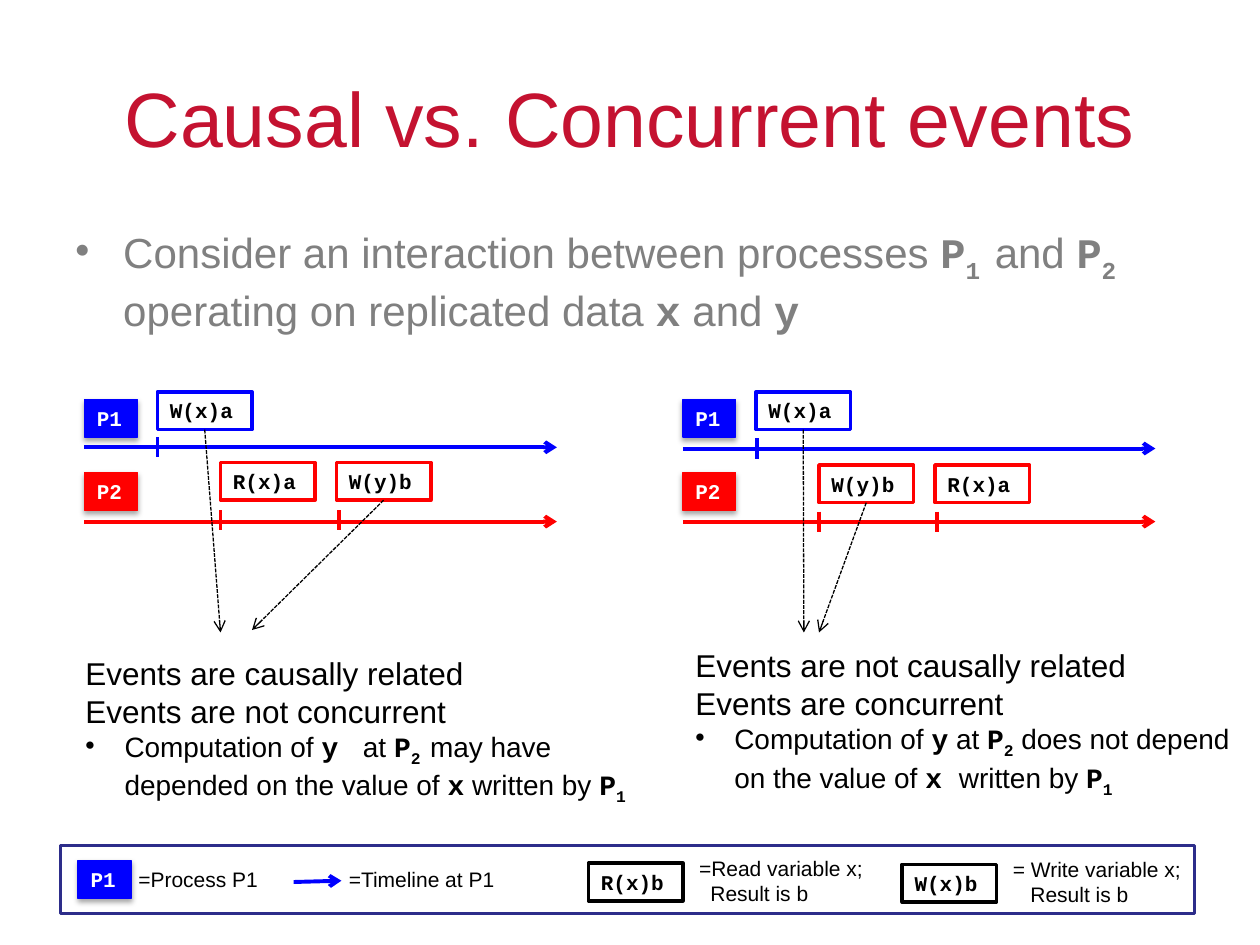
from dataclasses import dataclass

from lxml import etree
from pptx import Presentation
from pptx.dml.color import RGBColor
from pptx.enum.dml import MSO_LINE
from pptx.enum.shapes import MSO_CONNECTOR, MSO_SHAPE
from pptx.enum.text import MSO_ANCHOR, PP_ALIGN
from pptx.oxml.ns import qn
from pptx.util import Inches, Pt

RECT = MSO_SHAPE.RECTANGLE
STRAIGHT = MSO_CONNECTOR.STRAIGHT
DASH = MSO_LINE.SQUARE_DOT
MIDDLE, TOP = MSO_ANCHOR.MIDDLE, MSO_ANCHOR.TOP
LEFT, CENTER = PP_ALIGN.LEFT, PP_ALIGN.CENTER
BOTTOM_SITE = 2

SANS, MONO = "Arial", "Courier New"
BLUE, RED, BLACK, WHITE = "0000FF", "FF0000", "000000", "FFFFFF"
TITLE_RED, GRAY, NAVY = "C41230", "808080", "2D2D8A"

# Run styles
PLAIN, CODE, SUB = "plain", "code", "sub"


@dataclass
class Para:
    runs: list
    size: float
    color: str = BLACK
    indent: float = 0
    bullet: bool = False
    align: PP_ALIGN = LEFT


@dataclass
class Event:
    label: str
    color: str
    x: float
    y: float
    tick_x: float
    tick_y: float
    target: tuple = None  # where its dashed arrow ends


@dataclass
class Panel:
    left: float
    p1_y: float
    events: list


def rgb(color: str) -> RGBColor:
    return RGBColor.from_string(color)


def add_text(shapes, x: float, y: float, w: float, h: float, paras: list, anchor=TOP):
    tf = shapes.add_textbox(Inches(x), Inches(y), Inches(w), Inches(h)).text_frame
    tf.word_wrap = True
    tf.vertical_anchor = anchor
    for i, para in enumerate(paras):
        p = tf.add_paragraph() if i else tf.paragraphs[0]
        p.alignment = para.align
        pPr = p._p.get_or_add_pPr()
        if para.indent:
            pPr.set("marL", str(Inches(para.indent)))
        if para.bullet:
            pPr.set("indent", str(-Inches(para.indent)))
            etree.SubElement(pPr, qn("a:buChar"), char="•")
        for text, style in para.runs:
            r = p.add_run()
            r.text = text
            r.font.size = Pt(para.size)
            r.font.color.rgb = rgb(para.color)
            r.font.name = SANS if style == PLAIN else MONO
            r.font.bold = style != PLAIN
            if style == SUB:
                r._r.get_or_add_rPr().set("baseline", "-25000")


def add_box(shapes, x: float, y: float, w: float, h: float, fill: str, line: str,
            width: float, label: str = "", color: str = BLACK):
    sp = shapes.add_shape(RECT, Inches(x), Inches(y), Inches(w), Inches(h))
    sp.shadow.inherit = False
    sp.fill.solid()
    sp.fill.fore_color.rgb = rgb(fill)
    sp.line.color.rgb = rgb(line)
    sp.line.width = Pt(width)
    if label:
        tf = sp.text_frame
        tf.text = label
        tf.word_wrap = False
        tf.vertical_anchor = TOP
        p = tf.paragraphs[0]
        p.alignment = LEFT
        font = p.runs[0].font
        font.name, font.size, font.bold = MONO, Pt(12), True
        font.color.rgb = rgb(color)
    return sp


def add_process(shapes, x: float, y: float, label: str, color: str):
    sp = add_box(shapes, x, y, 0.42, 0.3, color, color, 0.75, label, WHITE)
    effects = sp._element.spPr.find(qn("a:effectLst"))
    shadow = etree.SubElement(effects, qn("a:outerShdw"), blurRad=str(Pt(3.1)),
                              dist=str(Pt(1.8)), dir="5400000", rotWithShape="0")
    clr = etree.SubElement(shadow, qn("a:srgbClr"), val=BLACK)
    etree.SubElement(clr, qn("a:alpha"), val="35000")


def add_operation(shapes, x: float, y: float, label: str, color: str):
    return add_box(shapes, x, y, 0.75, 0.3, WHITE, color, 2, label)


def add_line(shapes, start: tuple, end: tuple, color: str, width: float = 2.25,
             arrow: bool = True, dash: bool = False):
    cx = shapes.add_connector(STRAIGHT, *(Inches(v) for v in (*start, *end)))
    cx.line.color.rgb = rgb(color)
    cx.line.width = Pt(width)
    if dash:
        cx.line.dash_style = DASH
    if arrow:
        etree.SubElement(cx.line._get_or_add_ln(), qn("a:tailEnd"), type="arrow")
    etree.SubElement(cx._element.spPr, qn("a:effectLst"))
    return cx


def add_panel(shapes, panel: Panel):
    lanes = (("P1", BLUE, 3.17, panel.p1_y), ("P2", RED, 3.75, 4.14))
    for label, color, tag_y, line_y in lanes:
        add_line(shapes, (panel.left, line_y), (panel.left + 3.75, line_y), color)
        add_process(shapes, panel.left, tag_y, label, color)
    for ev in panel.events:
        box = add_operation(shapes, ev.x, ev.y, ev.label, ev.color)
        add_line(shapes, (ev.tick_x, ev.tick_y), (ev.tick_x, ev.tick_y + 0.16),
                 ev.color, arrow=False)
        if ev.target:
            cx = add_line(shapes, (ev.x + 0.38, ev.y + 0.3), ev.target, BLACK, 0.75, dash=True)
            cx.begin_connect(box, BOTTOM_SITE)


def plain(text: str, size: float, **options) -> Para:
    return Para([(text, PLAIN)], size, **options)


prs = Presentation()
prs.slide_width, prs.slide_height = Inches(10), Inches(7.5)
shapes = prs.slides.add_slide(prs.slide_layouts[6]).shapes

# Title and introduction
add_text(shapes, 0.5, 0.3, 9, 1.25,
         [plain("Causal vs. Concurrent events", 44, color=TITLE_RED, align=CENTER)], MIDDLE)
intro = [("Consider an interaction between processes ", PLAIN), ("P", CODE), ("1 ", SUB),
         ("and ", PLAIN), ("P", CODE), ("2 ", SUB), ("operating on replicated data ", PLAIN),
         ("x", CODE), (" and ", PLAIN), ("y", CODE)]
add_text(shapes, 0.5, 1.75, 9, 1.1, [Para(intro, 24, GRAY, 0.38, True)])

# Timelines: causal on the left, concurrent on the right
panels = [
    Panel(0.67, 3.55, [
        Event("W(x)a", BLUE, 1.25, 3.11, 1.25, 3.47, (1.75, 5.02)),
        Event("R(x)a", RED, 1.75, 3.67, 1.75, 4.05),
        Event("W(y)b", RED, 2.67, 3.67, 2.69, 4.05, (2, 5)),
    ]),
    Panel(5.42, 3.56, [
        Event("W(x)a", BLUE, 6, 3.11, 6.01, 3.48, (6.38, 5.02)),
        Event("W(y)b", RED, 6.5, 3.69, 6.5, 4.06, (6.5, 5.02)),
        Event("R(x)a", RED, 7.42, 3.69, 7.44, 4.06),
    ]),
]
for panel in panels:
    add_panel(shapes, panel)

# Conclusions below the timelines
causal = [("Computation of ", PLAIN), ("y ", CODE), (" at ", PLAIN), ("P", CODE), ("2 ", SUB),
          ("may have depended on the value of ", PLAIN), ("x", CODE), (" written by ", PLAIN),
          ("P", CODE), ("1", SUB)]
concurrent = [("Computation of ", PLAIN), ("y", CODE), (" at ", PLAIN), ("P", CODE), ("2", SUB),
              (" does not depend on the value of ", PLAIN), ("x ", CODE),
              ("written by ", PLAIN), ("P", CODE), ("1", SUB)]
conclusions = [
    (0.58, 5.14, 4.62, "Events are causally related", "Events are not concurrent", causal),
    (5.42, 5.08, 4.58, "Events are not causally related", "Events are concurrent", concurrent),
]
for x, y, w, first, second, reason in conclusions:
    add_text(shapes, x, y, w, 1.25,
             [plain(first, 18), plain(second, 18), Para(reason, 16, indent=0.31, bullet=True)])

# Legend
add_box(shapes, 0.48, 6.71, 9, 0.54, WHITE, NAVY, 2)
add_process(shapes, 0.62, 6.83, "P1", BLUE)
add_text(shapes, 1, 6.83, 1.5, 0.3, [plain("=Process P1", 12)])
add_line(shapes, (2.33, 7), (2.71, 6.99), BLUE)
add_text(shapes, 2.67, 6.83, 1.5, 0.3, [plain("=Timeline at P1", 12)])
operations = [
    (4.67, 6.85, "R(x)b", 5.45, 1.5, "=Read variable x;", 0.09),
    (7.16, 6.86, "W(x)b", 7.94, 1.56, "= Write variable x;", 0.14),
]
for x, y, label, text_x, w, meaning, indent in operations:
    add_operation(shapes, x, y, label, BLACK)
    add_text(shapes, text_x, y - 0.11, w, 0.5,
             [plain(meaning, 12), plain("Result is b", 12, indent=indent)])

prs.save("out.pptx")
